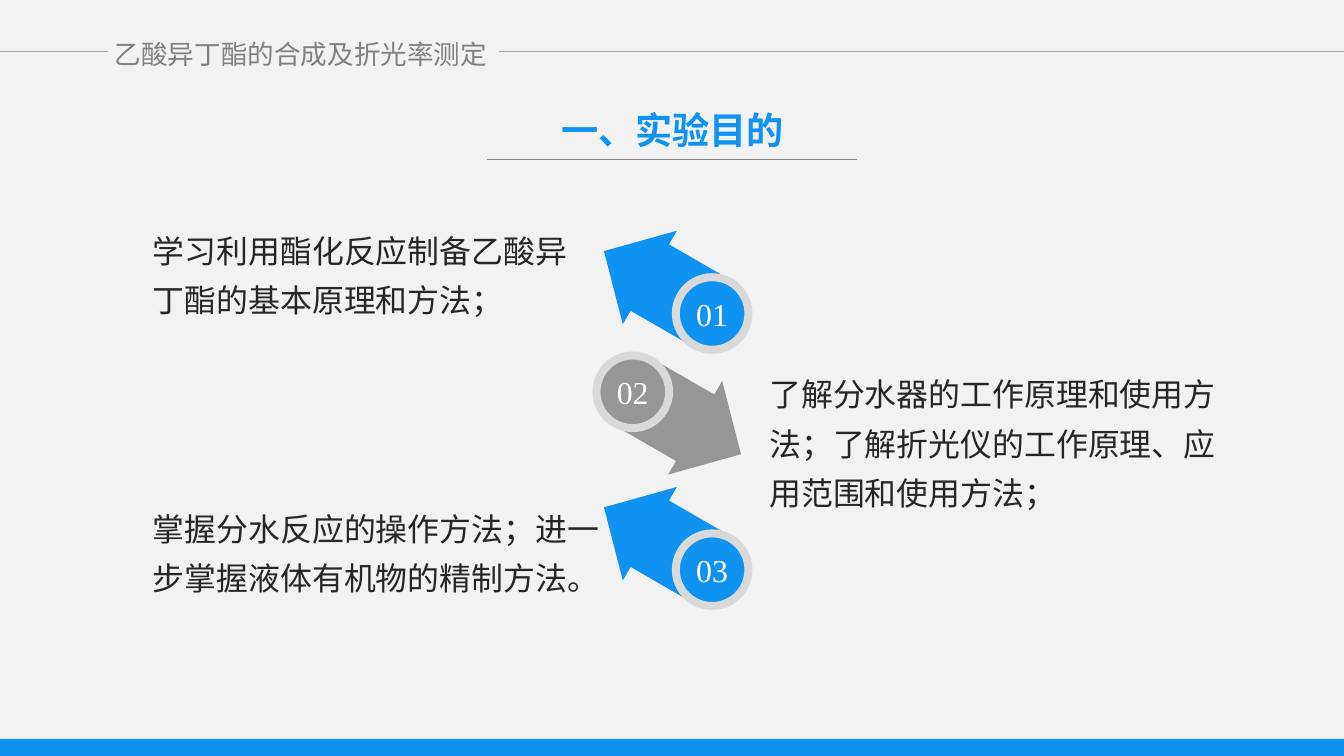
from dataclasses import dataclass
from lxml.etree import SubElement
from pptx import Presentation
from pptx.dml.color import RGBColor as RGB
from pptx.enum.shapes import MSO_CONNECTOR as Link, MSO_SHAPE as Kind
from pptx.enum.text import MSO_ANCHOR as Anchor, PP_ALIGN as Align
from pptx.oxml.ns import qn
from pptx.util import Inches, Pt


@dataclass
class Theme:
    blue: str = "1092F1"
    gray: str = "969696"
    ring: str = "D9D9D9"
    rule: str = "A6A6A6"
    mute: str = "808080"
    ink: str = "262626"
    white: str = "FFFFFF"
    back: str = "F2F2F2"
    sans: str = "Arial"
    serif: str = "Times New Roman"
    small: int = 20
    body: int = 24
    head: int = 28


@dataclass
class Box:
    left: float
    top: float
    width: float
    height: float

    def cut(self, x, y, w, h):
        col, row = self.width / 100, self.height / 100
        return Box(self.left + x * col, self.top + y * row, w * col, h * row)

    def round(self, x, y, size):
        spot = self.cut(x, y, 0, 0)
        return Box(spot.left - size / 2, spot.top - size / 2, size, size)

    def emu(self):
        return [Inches(n) for n in (self.left, self.top, self.width, self.height)]


LOOK = Theme()
PAGE = Box(0, 0, 14.06, 7.91)
RING = 0.76
STEPS = [
    ("01", (44.31, 30.21), False, (11.38, 29.08, 33.07, 12.64),
     "学习利用酯化反应制备乙酸异丁酯的基本原理和方法；"),
    ("02", (46.44, 48.8), True, (57.25, 48.04, 34.14, 19.22),
     "了解分水器的工作原理和使用方法；了解折光仪的工作原理、应用范围和使用方法；"),
    ("03", (44.31, 64.1), False, (11.38, 65.87, 34.71, 12.64),
     "掌握分水反应的操作方法；进一步掌握液体有机物的精制方法。"),
]


def write(shape, text, size, color, face=LOOK.serif, align=Align.LEFT,
          anchor=Anchor.TOP, wrap=True, bold=False, space=None):
    frame = shape.text_frame
    frame.text = text
    frame.word_wrap = wrap
    frame.vertical_anchor = anchor
    frame.margin_left = frame.margin_right = 0
    frame.margin_top = frame.margin_bottom = 0
    para = frame.paragraphs[0]
    para.alignment = align
    if space:
        para.line_spacing = space
    font = para.runs[0].font
    font.name, font.size, font.bold = face, Pt(size), bold
    font.color.rgb = RGB.from_string(color)


def shape(slide, kind, box, color):
    item = slide.shapes.add_shape(kind, *box.emu())
    item.shadow.inherit = False
    item.fill.solid()
    item.fill.fore_color.rgb = RGB.from_string(color)
    item.line.fill.background()
    return item


def rule(slide, box, color):
    x, y, w, h = box.emu()
    line = slide.shapes.add_connector(Link.STRAIGHT, x, y, x + w, y)
    line.line.color.rgb = RGB.from_string(color)
    line.line.width = Pt(1)
    SubElement(line._element.spPr, qn("a:effectLst"))


def header(slide, box):
    note = slide.shapes.add_textbox(*box.cut(8.53, 4.93, 27.74, 4.3).emu())
    write(note, "乙酸异丁酯的合成及折光率测定", LOOK.small, LOOK.mute, LOOK.sans,
          Align.CENTER, Anchor.MIDDLE)
    for x, w in ((0, 8.04), (37.13, 62.87)):
        rule(slide, box.cut(x, 6.83, w, 0), LOOK.rule)


def heading(slide, box):
    title = slide.shapes.title
    title.left, title.top, title.width, title.height = box.cut(
        39.4, 14.16, 21.27, 5.94).emu()
    write(title, "一、实验目的", LOOK.head, LOOK.blue, align=Align.CENTER, bold=True)
    rule(slide, box.cut(36.27, 21.11, 27.46, 0), LOOK.mute)


def badge(slide, box, label, right):
    color = LOOK.gray if right else LOOK.blue
    side = -1 if right else 1
    arrow = shape(slide, Kind.RIGHT_ARROW, box, color)
    arrow.rotation = 30 if right else 210
    arrow.adjustments[0], arrow.adjustments[1] = 0.71, 0.49
    disc = shape(slide, Kind.OVAL,
                 box.round(50 + side * 43.1, 50 + side * 28.8, RING), color)
    disc.line.color.rgb = RGB.from_string(LOOK.ring)
    disc.line.width = Pt(6)
    write(disc, label, LOOK.body, LOOK.white, align=Align.CENTER,
          anchor=Anchor.MIDDLE, wrap=False)


def steps(slide, box):
    for label, spot, right, area, text in STEPS:
        note = slide.shapes.add_textbox(*box.cut(*area).emu())
        write(note, text, LOOK.body, LOOK.ink, space=1.3)
        badge(slide, box.cut(*spot, 9.32, 14.29), label, right)


def footer(slide, box):
    shape(slide, Kind.RECTANGLE, box.cut(0, 97.75, 100, 2.25), LOOK.blue)


def main():
    deck = Presentation()
    deck.slide_width, deck.slide_height = PAGE.emu()[2:]
    slide = deck.slides.add_slide(deck.slide_layouts[5])
    slide.background.fill.solid()
    slide.background.fill.fore_color.rgb = RGB.from_string(LOOK.back)
    for part in (footer, header, heading, steps):
        part(slide, PAGE)
    deck.save("out.pptx")


if __name__ == "__main__":
    main()
